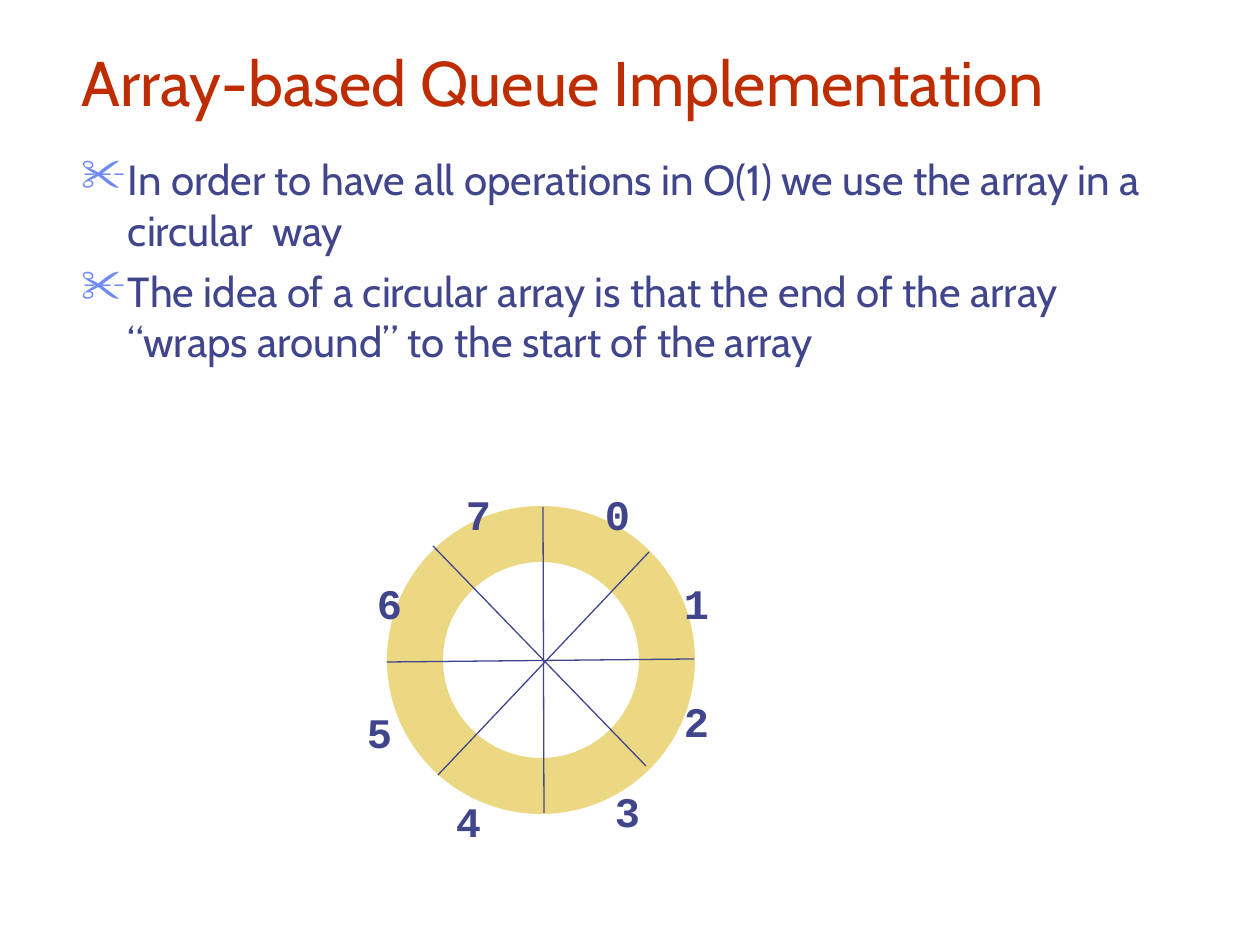
from lxml import etree
from pptx import Presentation
from pptx.dml.color import RGBColor
from pptx.enum.shapes import MSO_CONNECTOR, MSO_SHAPE
from pptx.enum.text import MSO_ANCHOR, PP_ALIGN
from pptx.oxml.ns import qn
from pptx.util import Emu, Pt

PX_PER_INCH = 126
INK, TITLE_RED, BULLET_BLUE, RING_SAND = "40458C", "BE2D00", "6F89F7", "ECD882"

POINTS = [
    "In order to have all operations in O(1) we use the array in a circular  way",
    "The idea of a circular array is that the end of the array "
    "“wraps around” to the start of the array",
]
# Left and top of the label for each array index, 0 to 7
INDEX_PLACES = [(586, 483), (665, 572), (665, 690), (596, 780),
                (437, 790), (348, 701), (358, 572), (447, 483)]
# Start and end of the lines that divide the ring into cells
DIVIDERS = [(543, 507, 544, 813), (387, 662, 694, 659),
            (433, 546, 646, 766), (649, 552, 438, 775)]


def px(length):
    return Emu(round(length * 914400 / PX_PER_INCH))


def color(value):
    return RGBColor.from_string(value)


def set_font(paragraph, name, size, ink, bold=False):
    font = paragraph.font
    font.name, font.size, font.bold = name, Pt(size), bold
    font.color.rgb = color(ink)


def add_text_frame(slide, left, top, width, height, inset_top=6):
    frame = slide.shapes.add_textbox(*map(px, (left, top, width, height))).text_frame
    frame.word_wrap = True
    frame.margin_left = frame.margin_right = px(13)
    frame.margin_top, frame.margin_bottom = px(inset_top), px(6)
    return frame


def add_bullet(paragraph):
    props = paragraph._p.get_or_add_pPr()
    props.set("marL", str(px(47)))
    props.set("indent", str(px(-47)))
    tint = etree.SubElement(props, qn("a:buClr"))
    etree.SubElement(tint, qn("a:srgbClr"), val=BULLET_BLUE)
    etree.SubElement(props, qn("a:buSzPct"), val="110000")
    etree.SubElement(props, qn("a:buChar"), char="✂")


def add_title(slide):
    frame = add_text_frame(slide, 69, 18, 1071, 107)
    frame.vertical_anchor = MSO_ANCHOR.BOTTOM
    heading = frame.paragraphs[0]
    heading.text = "Array-based Queue Implementation"
    set_font(heading, "Cabin", 36, TITLE_RED)


def add_points(slide):
    frame = add_text_frame(slide, 68, 147, 1118, 699, inset_top=7)
    for number, point in enumerate(POINTS):
        paragraph = frame.add_paragraph() if number else frame.paragraphs[0]
        paragraph.text = point
        add_bullet(paragraph)
        if number:
            paragraph.space_before = Pt(6)
        set_font(paragraph, "Cabin", 24, INK)


def add_index(slide, index, place):
    label = add_text_frame(slide, *place, 63, 63).paragraphs[0]
    label.text = str(index)
    label.alignment = PP_ALIGN.CENTER
    set_font(label, "Courier New", 24, INK, bold=True)


def add_ring(slide):
    ring = slide.shapes.add_shape(MSO_SHAPE.OVAL, px(415), px(534), px(252), px(252))
    ring.shadow.inherit = False
    ring.fill.background()
    ring.line.color.rgb = color(RING_SAND)
    ring.line.width = Pt(32)


def add_divider(slide, ends):
    divider = slide.shapes.add_connector(MSO_CONNECTOR.STRAIGHT, *map(px, ends))
    divider.line.color.rgb = color(INK)
    divider.line.width = Pt(0.75)
    etree.SubElement(divider._element.spPr, qn("a:effectLst"))


def main():
    deck = Presentation()
    deck.slide_width, deck.slide_height = px(1260), px(945)
    slide = deck.slides.add_slide(deck.slide_layouts[6])

    add_title(slide)
    add_points(slide)

    # Circular array: ring and dividers first, so every label stays whole
    add_ring(slide)
    for ends in DIVIDERS:
        add_divider(slide, ends)
    for index, place in enumerate(INDEX_PLACES):
        add_index(slide, index, place)

    deck.save("out.pptx")


if __name__ == "__main__":
    main()
